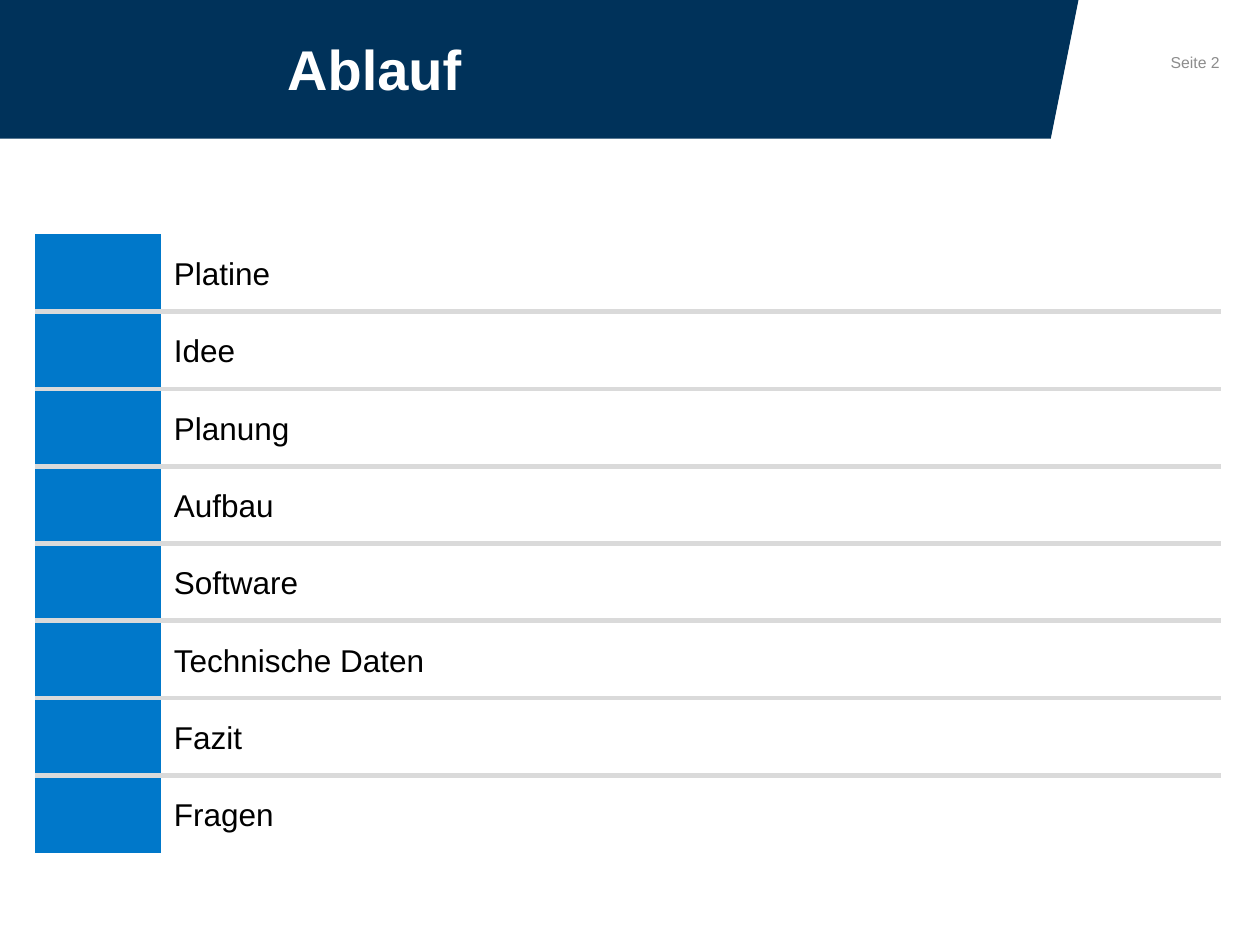
"""Build the agenda slide with a slanted title banner and a table of topics."""
from lxml.etree import SubElement
from pptx import Presentation
from pptx.dml.color import RGBColor
from pptx.enum.text import MSO_ANCHOR, PP_ALIGN
from pptx.oxml.ns import qn
from pptx.util import Inches, Pt

TOPICS = ["Platine", "Idee", "Planung", "Aufbau", "Software",
          "Technische Daten", "Fazit", "Fragen"]
NO_STYLE = "{2D5ABB26-0587-4C30-8999-92F81FD0307C}"


def color(value):
    return RGBColor.from_string(value)


def format_text(paragraph, size, value, bold=False):
    for run in paragraph.runs:
        run.font.name = "Arial"
        run.font.size = Pt(size)
        run.font.bold = bold
        run.font.color.rgb = color(value)


presentation = Presentation()
presentation.slide_width = Inches(10)
presentation.slide_height = Inches(7.5)
slide = presentation.slides.add_slide(presentation.slide_layouts[6])

builder = slide.shapes.build_freeform(0, 0)
builder.add_line_segments([
    (Inches(8.56), 0), (Inches(8.34), Inches(1.1)), (0, Inches(1.1))])
banner = builder.convert_to_shape()
banner.shadow.inherit = False
banner.fill.solid()
banner.fill.fore_color.rgb = color("00325A")
banner.line.fill.background()

frame = slide.shapes.add_table(
    len(TOPICS), 2, Inches(0.28), Inches(1.86), Inches(9.41), Inches(4.91))
frame.element.find(".//" + qn("a:tableStyleId")).text = NO_STYLE
table = frame.table
table.first_row = False
table.horz_banding = False
table.columns[0].width = Inches(1)
table.columns[1].width = Inches(8.41)

for row, topic in enumerate(TOPICS):
    marker, label = table.cell(row, 0), table.cell(row, 1)
    label.text_frame.text = topic
    paragraph = label.text_frame.paragraphs[0]
    paragraph.line_spacing = 1.1
    paragraph.space_after = Pt(2)
    format_text(paragraph, 18, "000000")

    edges = [("a:lnT", row > 0), ("a:lnB", row < len(TOPICS) - 1)]
    for cell in (marker, label):
        cell.vertical_anchor = MSO_ANCHOR.MIDDLE
        properties = cell._tc.get_or_add_tcPr()
        for edge, visible in edges:
            if visible:
                border = SubElement(properties, qn(edge), w=str(Pt(3)))
                fill = SubElement(border, qn("a:solidFill"))
                SubElement(fill, qn("a:srgbClr"), val="DADADA")
    marker.fill.solid()
    marker.fill.fore_color.rgb = color("0078CA")
    label.fill.background()

captions = [
    ("Ablauf", (2.28, 0.27, 2.76, 0.71), 32, "FFFFFF", True,
     PP_ALIGN.LEFT, MSO_ANCHOR.TOP),
    ("Seite 2", (8.58, 0.37, 1.1, 0.2), 9, "8C8C8C", False,
     PP_ALIGN.RIGHT, MSO_ANCHOR.BOTTOM),
]
for text, place, size, value, bold, alignment, anchor in captions:
    text_frame = slide.shapes.add_textbox(*map(Inches, place)).text_frame
    text_frame.word_wrap = True
    text_frame.margin_left = text_frame.margin_right = 0
    text_frame.margin_top = text_frame.margin_bottom = 0
    text_frame.vertical_anchor = anchor
    text_frame.text = text
    paragraph = text_frame.paragraphs[0]
    paragraph.alignment = alignment
    format_text(paragraph, size, value, bold)

presentation.save("out.pptx")
